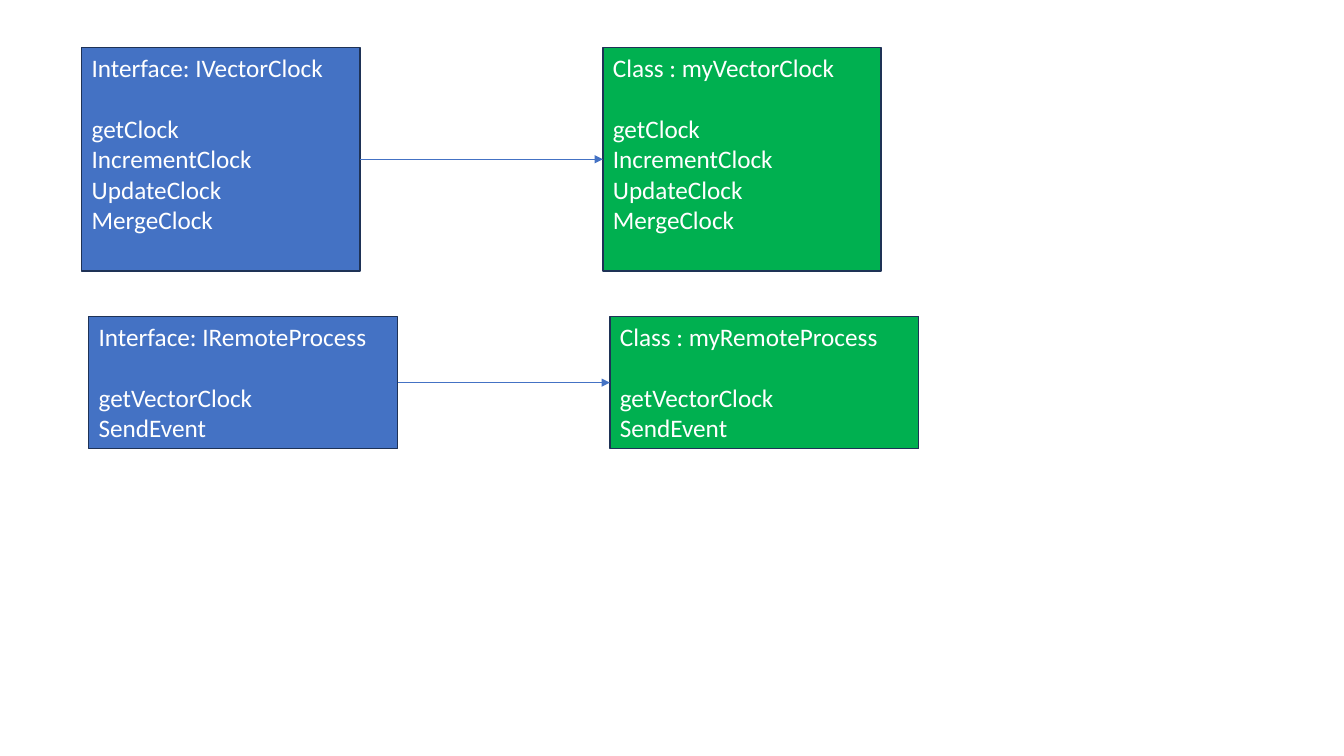
import pptx
import pptx.util
import pptx.dml.color
import pptx.enum.shapes
import pptx.enum.text
import pptx.oxml
import pptx.oxml.ns
from dataclasses import dataclass


@dataclass(frozen=True)
class Theme:
    """Colours, font and sizes in points."""
    blue: str = "4472C4"
    green: str = "00B050"
    edge: str = "1E3256"
    white: str = "FFFFFF"
    font: str = "Calibri"
    size: float = 18
    gap: float = 22
    rim: float = 1
    wire: float = 0.5


THEME = Theme()
WIDE, HIGH = pptx.util.Inches(13.33), pptx.util.Inches(7.5)
COL, ROW = WIDE / 100, HIGH / 100
STEP = 38.78

PAIRS = [
    ((6.08, 6.27, 20.7, 29.6), "VectorClock",
     ["getClock", "IncrementClock", "UpdateClock", "MergeClock"]),
    ((6.6, 41.87, 22.98, 17.5), "RemoteProcess",
     ["getVectorClock", "SendEvent"]),
]


def rgb(code):
    """Turn a hex code into a colour."""
    return pptx.dml.color.RGBColor.from_string(code)


def draw_card(slide, box, fill, title, calls):
    """Draw a titled list of methods in a box of columns and rows."""
    left, top, width, height = box
    card = slide.shapes.add_shape(
        pptx.enum.shapes.MSO_SHAPE.RECTANGLE,
        round(left * COL), round(top * ROW),
        round(width * COL), round(height * ROW))
    card.shadow.inherit = False
    card.fill.solid()
    card.fill.fore_color.rgb = rgb(fill)
    card.line.color.rgb = rgb(THEME.edge)
    card.line.width = pptx.util.Pt(THEME.rim)
    frame = card.text_frame
    frame.word_wrap = True
    frame.vertical_anchor = pptx.enum.text.MSO_ANCHOR.TOP
    frame.text = "\n".join([title, *calls])
    for para in frame.paragraphs:
        para.alignment = pptx.enum.text.PP_ALIGN.LEFT
        para.font.name = THEME.font
        para.font.size = pptx.util.Pt(THEME.size)
        para.font.color.rgb = rgb(THEME.white)
    frame.paragraphs[0].space_after = pptx.util.Pt(THEME.gap)
    return card


def draw_link(slide, start, end):
    """Join the right side of one card to the left side of another."""
    link = slide.shapes.add_connector(
        pptx.enum.shapes.MSO_CONNECTOR.STRAIGHT, 0, 0, 0, 0)
    link.begin_connect(start, 3)
    link.end_connect(end, 1)
    link.line.color.rgb = rgb(THEME.blue)
    link.line.width = pptx.util.Pt(THEME.wire)
    tail = pptx.oxml.ns.qn("a:tailEnd")
    link.line._get_or_add_ln().makeelement
    props = link._element.spPr
    line = props.find(pptx.oxml.ns.qn("a:ln"))
    line.append(line.makeelement(tail, {"type": "triangle"}))
    props.append(props.makeelement(pptx.oxml.ns.qn("a:effectLst"), {}))


def draw_pair(slide, box, name, calls):
    """Draw an interface in the box and its class one step to the right."""
    left, top, width, height = box
    face = draw_card(slide, box, THEME.blue, f"Interface: I{name}", calls)
    kind = draw_card(slide, (left + STEP, top, width, height),
                     THEME.green, f"Class : my{name}", calls)
    draw_link(slide, face, kind)


def main():
    """Build and save the deck."""
    deck = pptx.Presentation()
    deck.slide_width, deck.slide_height = WIDE, HIGH
    slide = deck.slides.add_slide(deck.slide_layouts[6])
    for box, name, calls in PAIRS:
        draw_pair(slide, box, name, calls)
    deck.save("out.pptx")


if __name__ == "__main__":
    main()
